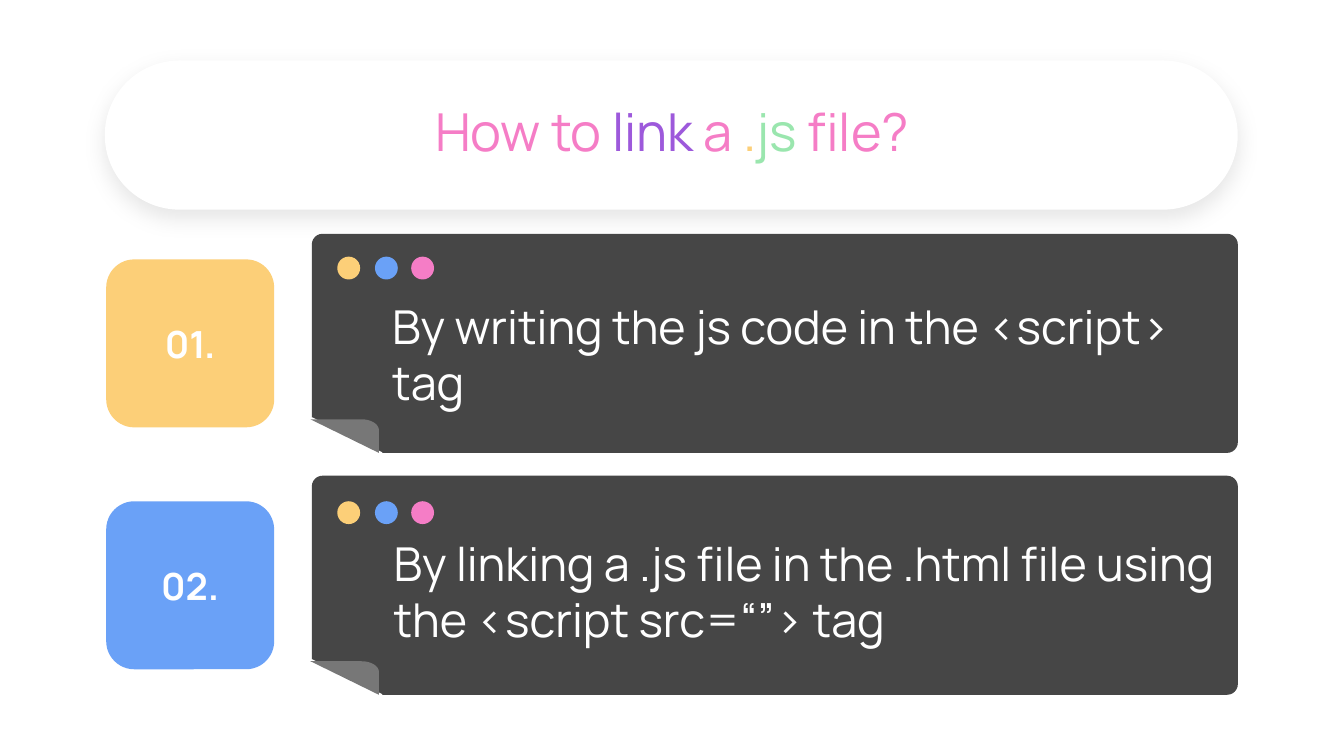
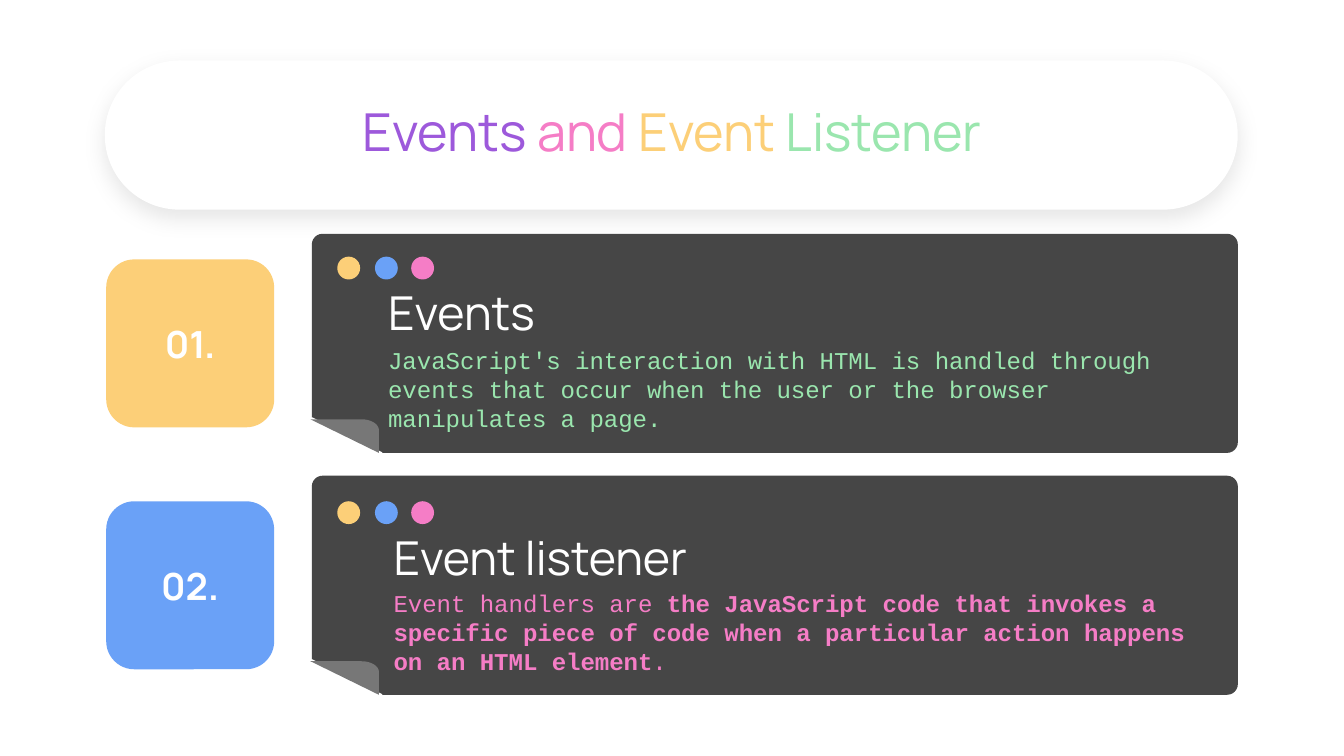
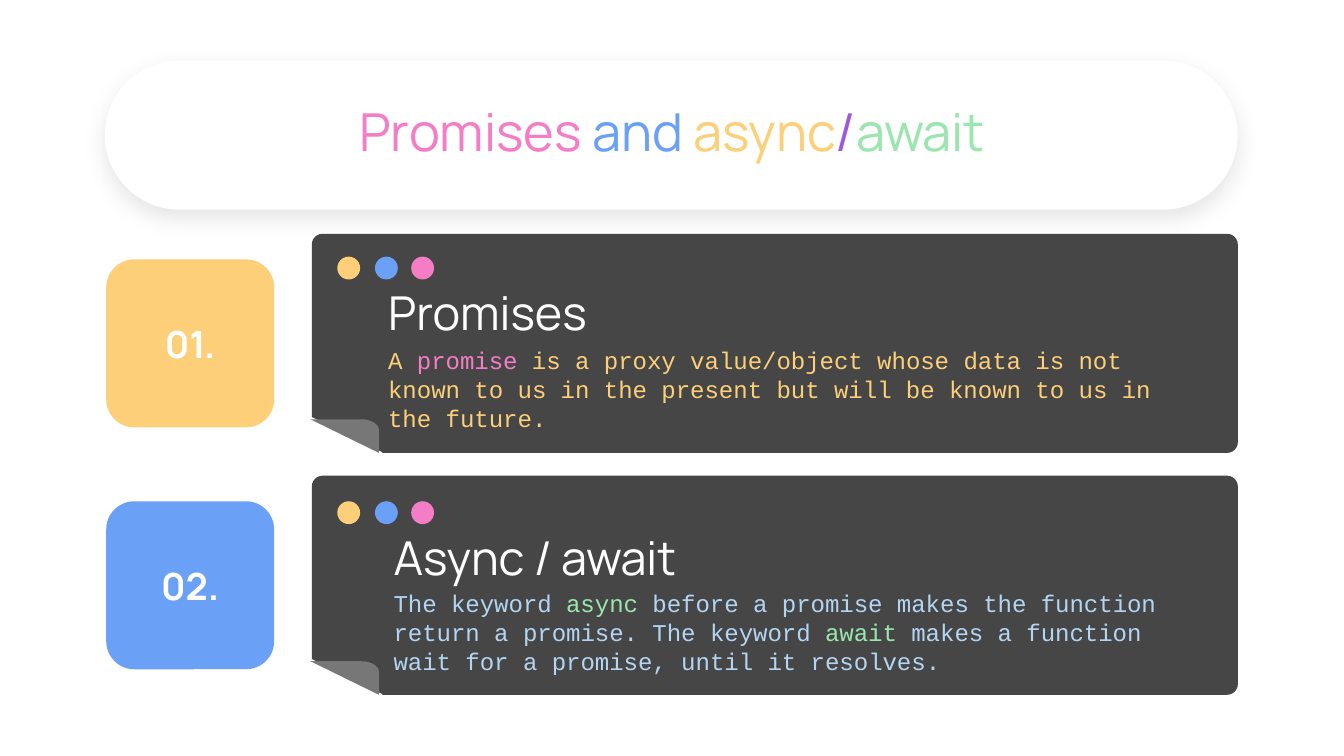
import math
from dataclasses import dataclass
from typing import Optional

import lxml.etree
import pptx
import pptx.dml.color
import pptx.enum.shapes
import pptx.enum.text
import pptx.oxml.ns
import pptx.shapes.autoshape
import pptx.slide
import pptx.text.text
import pptx.util

Inches = pptx.util.Inches
Pt = pptx.util.Pt
RGBColor = pptx.dml.color.RGBColor
MSO_SHAPE = pptx.enum.shapes.MSO_SHAPE
PP_ALIGN = pptx.enum.text.PP_ALIGN
MSO_ANCHOR = pptx.enum.text.MSO_ANCHOR
MSO_AUTO_SIZE = pptx.enum.text.MSO_AUTO_SIZE

WHITE = RGBColor(0xFF, 0xFF, 0xFF)
CHARCOAL = RGBColor(0x46, 0x46, 0x46)
FOLD_GRAY = RGBColor(0x77, 0x77, 0x77)
PINK = RGBColor(0xF5, 0x7D, 0xC6)
PURPLE = RGBColor(0x9D, 0x59, 0xDB)
YELLOW = RGBColor(0xFC, 0xCF, 0x78)
GREEN = RGBColor(0x9A, 0xE6, 0xAE)
BLUE = RGBColor(0x6A, 0xA1, 0xF7)
PALE_BLUE = RGBColor(0xB3, 0xD5, 0xF2)

HEADING_FONT = "Manrope"
CODE_FONT = "Courier New"

SLIDE_WIDTH = Inches(10)
SLIDE_HEIGHT = SLIDE_WIDTH * 9 // 16
PANEL_LEFT, PANEL_WIDTH, PANEL_HEIGHT = 2.32, 6.89, 1.63
PANEL_TOP, PANEL_STEP = 1.74, 1.8
DOTS = ((2.51, YELLOW), (2.79, BLUE), (3.06, PINK))
DOT_SIZE = 0.17
FOLD_STEPS = 8


@dataclass(frozen=True)
class Box:
    left: float
    top: float
    width: float
    height: float

    def lengths(self) -> tuple[int, int, int, int]:
        return (Inches(self.left), Inches(self.top),
                Inches(self.width), Inches(self.height))


@dataclass(frozen=True)
class Span:
    text: str
    color: RGBColor
    bold: Optional[bool] = None


@dataclass(frozen=True)
class PanelStyle:
    number: str
    color: RGBColor
    dot_top: float


@dataclass(frozen=True)
class Panel:
    heading: str
    heading_box: Box
    body: tuple[Span, ...] = ()
    body_box: Optional[Box] = None


@dataclass(frozen=True)
class Topic:
    title: tuple[Span, ...]
    panels: tuple[Panel, Panel]


PANEL_STYLES = (PanelStyle("01.", YELLOW, 1.91), PanelStyle("02.", BLUE, 3.73))
TITLE_BOX = Box(1.64, 0.45, 6.72, 1.11)
FIRST_HEADING = Box(2.79, 2.12, 1.77, 0.4)
SECOND_HEADING = Box(2.83, 3.94, 2.57, 0.4)
FIRST_BODY = Box(2.79, 2.52, 6.24, 0.75)
SECOND_BODY = Box(2.83, 4.33, 6.19, 0.75)

TOPICS = (
    Topic(
        (Span("How to ", PINK), Span("link", PURPLE), Span(" a ", PINK),
         Span(".", YELLOW), Span("js", GREEN), Span(" file?", PINK)),
        (Panel("By writing the js code in the <script> tag",
               Box(2.82, 2.43, 6.4, 0.4)),
         Panel("By linking a .js file in the .html file using the "
               "<script src=“”> tag", Box(2.83, 4.2, 6.39, 0.4))),
    ),
    Topic(
        (Span("Events", PURPLE), Span(" and ", PINK),
         Span("Event ", YELLOW), Span("Listener", GREEN)),
        (Panel("Events", FIRST_HEADING,
               (Span("JavaScript's interaction with HTML is handled through "
                     "events that occur when the user or the browser "
                     "manipulates a page.", GREEN),), FIRST_BODY),
         Panel("Event listener", SECOND_HEADING,
               (Span("Event handlers are ", PINK),
                Span("the JavaScript code that invokes a specific piece of "
                     "code when a particular action happens on an HTML "
                     "element", PINK, True),
                Span(".", PINK)), SECOND_BODY)),
    ),
    Topic(
        (Span("Promises ", PINK), Span("and ", BLUE), Span("async", YELLOW),
         Span("/", PURPLE), Span("await", GREEN)),
        (Panel("Promises", FIRST_HEADING,
               (Span("A ", YELLOW), Span("promise", PINK),
                Span(" is a proxy value/object whose data is not known to us "
                     "in the present but will be known to us in the future.",
                     YELLOW)), FIRST_BODY),
         Panel("Async / await", SECOND_HEADING,
               (Span("The keyword ", PALE_BLUE), Span("async", GREEN),
                Span(" before a promise makes the function return a promise. "
                     "The keyword", PALE_BLUE),
                Span(" await ", GREEN),
                Span("makes a function wait for a promise, until it "
                     "resolves.", PALE_BLUE)), SECOND_BODY)),
    ),
)


def paint(shape: pptx.shapes.autoshape.Shape, color: RGBColor) -> None:
    """Give a shape a flat fill with no outline or shadow."""
    shape.shadow.inherit = False
    shape.fill.solid()
    shape.fill.fore_color.rgb = color
    shape.line.fill.background()


def add_shape(slide: pptx.slide.Slide, kind: MSO_SHAPE, box: Box,
              color: RGBColor,
              rounding: Optional[float] = None) -> pptx.shapes.autoshape.Shape:
    shape = slide.shapes.add_shape(kind, *box.lengths())
    paint(shape, color)
    if rounding is not None:
        shape.adjustments[0] = rounding
    return shape


def write(frame: pptx.text.text.TextFrame, spans: tuple[Span, ...],
          font: str, size: float) -> pptx.text.text._Paragraph:
    """Fill the frame with one paragraph of coloured spans."""
    frame.word_wrap = True
    paragraph = frame.paragraphs[0]
    paragraph.font.name = font
    paragraph.font.size = Pt(size)
    for span in spans:
        run = paragraph.add_run()
        run.text = span.text
        run.font.color.rgb = span.color
        run.font.bold = span.bold
    return paragraph


def add_heading(slide: pptx.slide.Slide, box: Box, spans: tuple[Span, ...],
                size: float) -> pptx.text.text._Paragraph:
    frame = slide.shapes.add_textbox(*box.lengths()).text_frame
    frame.vertical_anchor = MSO_ANCHOR.MIDDLE
    frame.margin_top = frame.margin_bottom = Inches(0.1)
    return write(frame, spans, HEADING_FONT, size)


def add_soft_shadow(shape: pptx.shapes.autoshape.Shape) -> None:
    qualified = pptx.oxml.ns.qn
    effects = shape._element.spPr.find(qualified("a:effectLst"))
    shadow = lxml.etree.SubElement(
        effects, qualified("a:outerShdw"), blurRad=str(Pt(11.2)),
        dist=str(Pt(4.5)), dir="5400000", algn="bl", rotWithShape="0")
    color = lxml.etree.SubElement(shadow, qualified("a:srgbClr"), val="000000")
    lxml.etree.SubElement(color, qualified("a:alpha"), val="10000")


def add_title(slide: pptx.slide.Slide, spans: tuple[Span, ...]) -> None:
    pill = add_shape(slide, MSO_SHAPE.ROUNDED_RECTANGLE,
                     Box(0.78, 0.45, 8.43, 1.11), WHITE, 0.5)
    add_soft_shadow(pill)
    paragraph = add_heading(slide, TITLE_BOX, spans, 28)
    paragraph.alignment = PP_ALIGN.CENTER
    paragraph.line_spacing = 0.85


def add_fold(slide: pptx.slide.Slide, panel_top: float) -> None:
    """Cut the panel's lower left corner and draw the turned-up flap."""
    cut = add_shape(slide, MSO_SHAPE.RIGHT_TRIANGLE,
                    Box(PANEL_LEFT, panel_top + 1.37, 0.52, 0.26), WHITE)
    cut.line.color.rgb = WHITE
    cut.line.width = Pt(0.75)

    top, bottom = panel_top + 1.38, panel_top + PANEL_HEIGHT
    angles = [math.pi / 2 * step / FOLD_STEPS for step in range(FOLD_STEPS + 1)]
    corner = [(2.69 + 0.13 * math.sin(angle), top + 0.08 * (1 - math.cos(angle)))
              for angle in angles]
    outline = [(Inches(x), Inches(y)) for x, y in (*corner, (2.82, bottom))]
    builder = slide.shapes.build_freeform(Inches(2.31), Inches(top))
    builder.add_line_segments(outline, close=True)
    paint(builder.convert_to_shape(), FOLD_GRAY)


def add_badge(slide: pptx.slide.Slide, style: PanelStyle, top: float) -> None:
    badge = add_shape(slide, MSO_SHAPE.ROUNDED_RECTANGLE,
                      Box(0.79, top, 1.25, 1.25), style.color, 0.167)
    badge.text_frame.vertical_anchor = MSO_ANCHOR.MIDDLE
    paragraph = write(badge.text_frame, (Span(style.number, WHITE, True),),
                      HEADING_FONT, 20)
    paragraph.alignment = PP_ALIGN.CENTER


def add_panel(slide: pptx.slide.Slide, panel: Panel, style: PanelStyle,
              top: float) -> None:
    add_shape(slide, MSO_SHAPE.ROUNDED_RECTANGLE,
              Box(PANEL_LEFT, top, PANEL_WIDTH, PANEL_HEIGHT), CHARCOAL, 0.049)
    for left, color in DOTS:
        add_shape(slide, MSO_SHAPE.OVAL,
                  Box(left, style.dot_top, DOT_SIZE, DOT_SIZE), color)
    add_heading(slide, panel.heading_box, (Span(panel.heading, WHITE),), 25)
    add_fold(slide, top)
    add_badge(slide, style, top + 0.19)
    if panel.body_box:
        frame = slide.shapes.add_textbox(*panel.body_box.lengths()).text_frame
        write(frame, panel.body, CODE_FONT, 12.9)
        frame.auto_size = MSO_AUTO_SIZE.SHAPE_TO_FIT_TEXT


def main() -> None:
    presentation = pptx.Presentation()
    presentation.slide_width = SLIDE_WIDTH
    presentation.slide_height = SLIDE_HEIGHT
    blank_layout = presentation.slide_layouts[6]
    for topic in TOPICS:
        slide = presentation.slides.add_slide(blank_layout)
        add_title(slide, topic.title)
        for row, (panel, style) in enumerate(zip(topic.panels, PANEL_STYLES)):
            add_panel(slide, panel, style, PANEL_TOP + row * PANEL_STEP)
    presentation.save("out.pptx")


if __name__ == "__main__":
    main()
